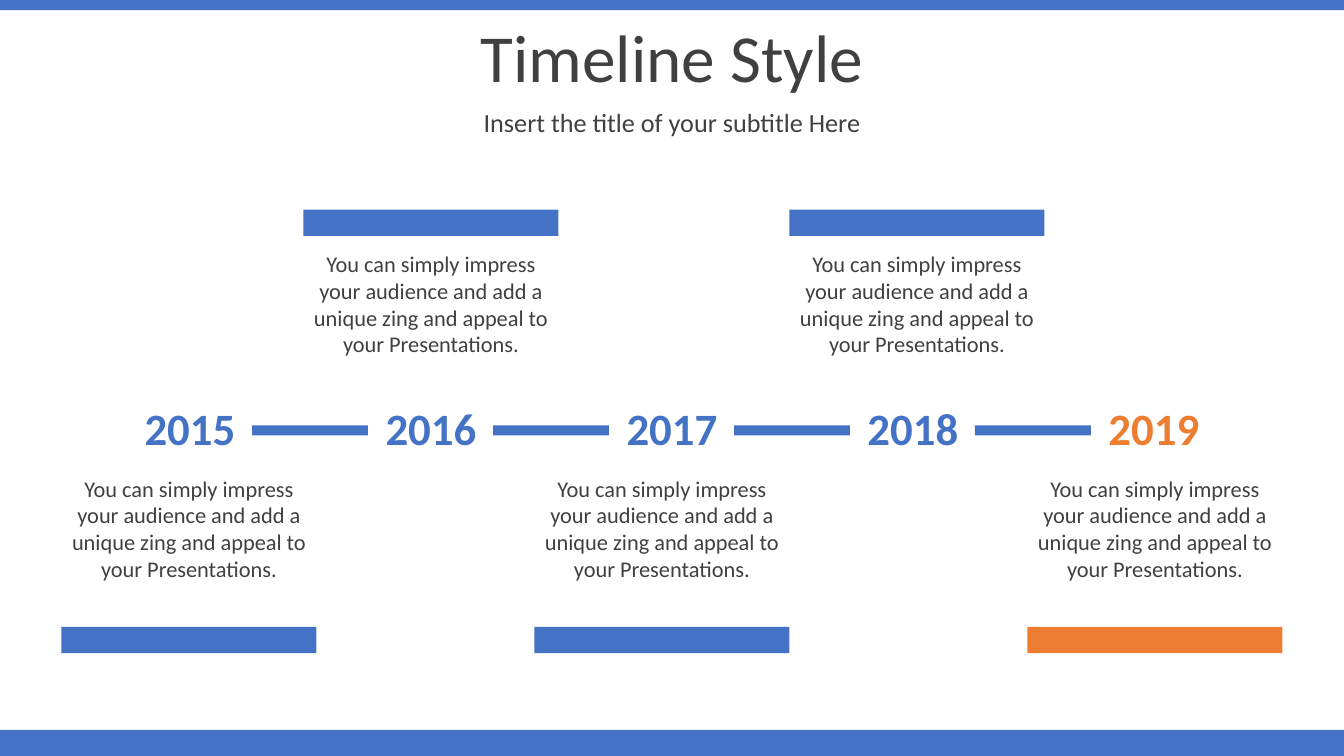
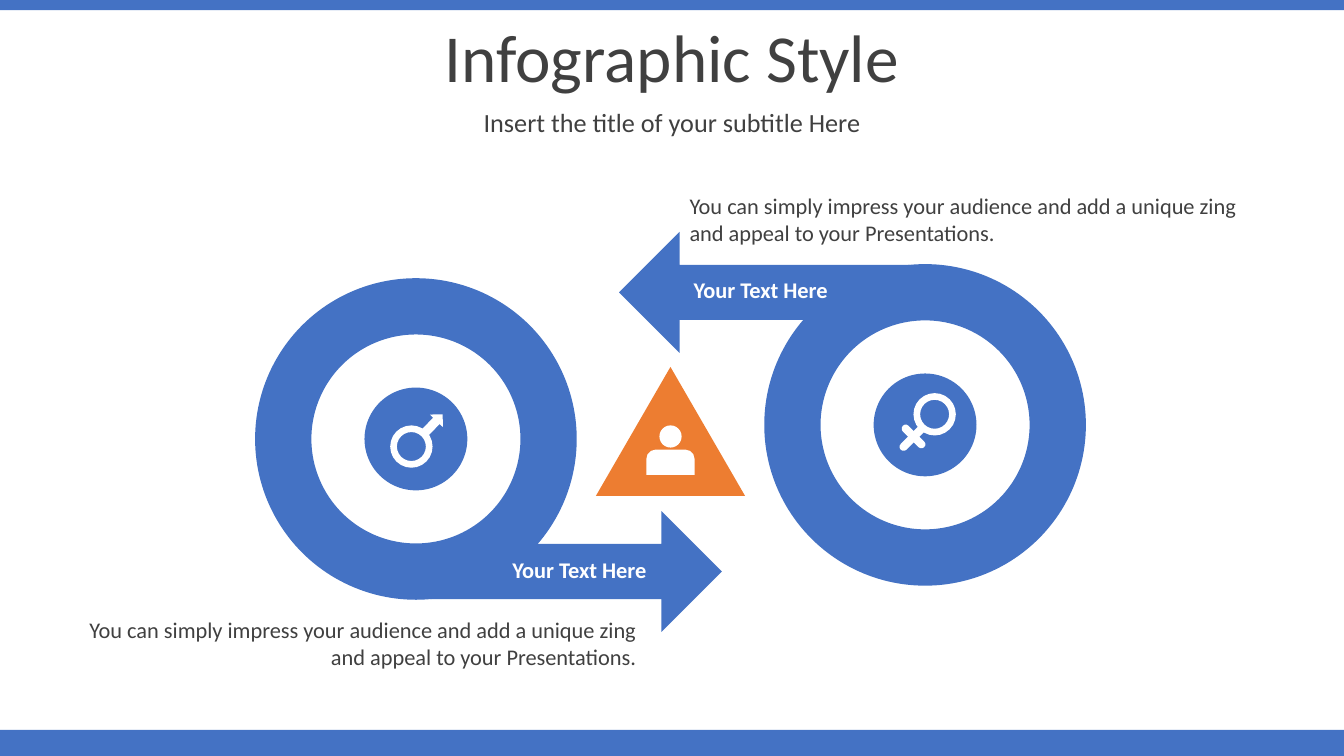
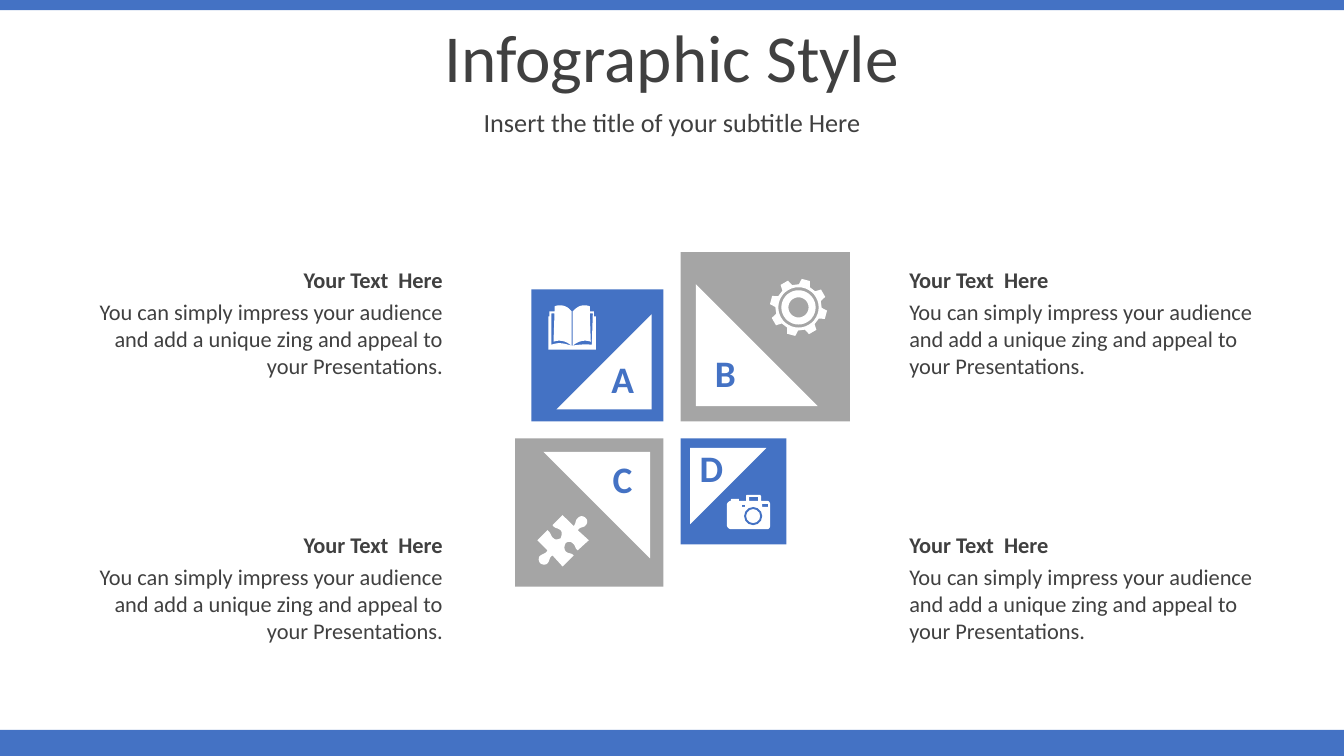
import math

from pptx import Presentation
from pptx.dml.color import RGBColor
from pptx.enum.shapes import MSO_SHAPE
from pptx.enum.text import MSO_ANCHOR, PP_ALIGN
from pptx.util import Inches, Pt

COLORS = {"blue": "4472C4", "orange": "ED7D31", "gray": "A5A5A5",
          "text": "404040", "white": "FFFFFF"}
FONT = "Calibri"
LEFT, CENTER, RIGHT = PP_ALIGN.LEFT, PP_ALIGN.CENTER, PP_ALIGN.RIGHT
TOP, MIDDLE = MSO_ANCHOR.TOP, MSO_ANCHOR.MIDDLE
RECT, ELLIPSE, DONUT = MSO_SHAPE.RECTANGLE, MSO_SHAPE.OVAL, MSO_SHAPE.DONUT
PILL, SHOULDERS = MSO_SHAPE.ROUNDED_RECTANGLE, MSO_SHAPE.ROUND_2_SAME_RECTANGLE
RIGHT_ARROW, UP_ARROW = MSO_SHAPE.RIGHT_ARROW, MSO_SHAPE.UP_ARROW
TRIANGLE, RIGHT_TRIANGLE = MSO_SHAPE.ISOSCELES_TRIANGLE, MSO_SHAPE.RIGHT_TRIANGLE

WIDTH, HEIGHT = 13.33, 7.5
SUBTITLE = "Insert the title of your subtitle Here"
BODY = ("You can simply impress your audience and add a unique zing "
        "and appeal to your Presentations.")

# Icon outlines in hundredths of an inch: pairs are corners, sextets are Bezier curves
BOOK = [[
    (23, 40), (24, 40), (24, 40, 32, 38, 43, 39), (44, 8), (41, 8), (42, 36),
    (36, 34, 30, 35, 24, 40), (24, 6), (28, 2, 31, 0, 35, 0),
    (37, 0, 39, 0, 41, 1), (41, 6), (45, 6), (45, 11), (47, 11), (47, 44),
    (0, 44), (0, 11), (1, 11), (1, 6), (6, 6), (6, 1), (8, 0, 10, 0, 12, 0),
    (16, 0, 20, 2, 23, 6), (23, 40), (17, 35, 11, 34, 5, 36), (6, 8), (3, 8),
    (3, 39), (11, 36, 16, 38, 23, 40),
]]
PUZZLE = [[
    (48, 3), (50, 5, 50, 8, 48, 10), (46, 13, 43, 11, 40, 15), (51, 25), (40, 35),
    (37, 33, 38, 30, 35, 28), (33, 26, 30, 26, 28, 28), (27, 30, 26, 33, 28, 36),
    (32, 39, 33, 37, 36, 40), (25, 51), (15, 40), (11, 43, 13, 44, 10, 48),
    (8, 50, 4, 49, 3, 48), (1, 46, 1, 43, 2, 41), (5, 38, 8, 39, 10, 35),
    (0, 25), (10, 15), (14, 18, 13, 21, 16, 23), (18, 25, 21, 24, 23, 23),
    (24, 21, 25, 17, 23, 15), (19, 12, 18, 14, 15, 10), (25, 0), (36, 11),
    (39, 7, 37, 6, 40, 3), (43, 0, 46, 1, 48, 3),
]]
CAMERA = [
    [(20, 0), (33, 0), (33, 0, 34, 1, 34, 2), (34, 6), (40, 6),
     (42, 6, 43, 8, 43, 10), (43, 30), (43, 32, 42, 34, 40, 34), (4, 34),
     (2, 34, 0, 32, 0, 30), (0, 10), (0, 8, 2, 6, 4, 6), (4, 5),
     (4, 4, 5, 4, 5, 4), (11, 4), (12, 4, 12, 4, 12, 5), (12, 6), (19, 6),
     (19, 2), (19, 1, 19, 0, 20, 0)],
    [(15, 10), (15, 12), (18, 12), (18, 10)],
    [(35, 9), (35, 12), (41, 12), (41, 9)],
    [(22, 2), (22, 6), (31, 6), (31, 2)],
]


def rgb(name):
    return RGBColor.from_string(COLORS[name])


def paint(shape, color):
    shape.shadow.inherit = False
    shape.fill.solid()
    shape.fill.fore_color.rgb = rgb(color)
    shape.line.fill.background()


def add_part(slide, kind, left, top, width, height, color, adjust=(), rotation=0):
    part = slide.shapes.add_shape(kind, Inches(left), Inches(top),
                                  Inches(width), Inches(height))
    paint(part, color)
    for index, value in enumerate(adjust):
        part.adjustments[index] = value
    part.rotation = rotation


def add_text(slide, text, left, top, width, height, size=16, color="text",
             bold=False, align=LEFT, anchor=TOP, spacing=1.0):
    frame = slide.shapes.add_textbox(Inches(left), Inches(top),
                                     Inches(width), Inches(height)).text_frame
    frame.word_wrap = True
    frame.vertical_anchor = anchor
    paragraph = frame.paragraphs[0]
    paragraph.text = text
    paragraph.alignment = align
    paragraph.line_spacing = spacing
    font = paragraph.font
    font.name, font.size, font.bold = FONT, Pt(size), bold
    font.color.rgb = rgb(color)


# Outlines
def flatten(contour, steps=8):
    points = [contour[0]]
    for node in contour[1:]:
        if len(node) == 2:
            points.append(node)
            continue
        curve = [points[-1], node[:2], node[2:4], node[4:]]
        for step in range(1, steps + 1):
            t = step / steps
            weights = ((1 - t) ** 3, 3 * t * (1 - t) ** 2, 3 * t * t * (1 - t), t ** 3)
            points.append(tuple(sum(w * p[axis] for w, p in zip(weights, curve))
                                for axis in (0, 1)))
    return points


def add_outline(slide, contours, left, top, color="white"):
    builder = None
    for contour in contours:
        points = [(Inches(left + x / 100), Inches(top + y / 100))
                  for x, y in flatten(contour)]
        if builder is None:
            builder = slide.shapes.build_freeform(*points[0], scale=1.0)
        else:
            builder.move_to(*points[0])
        builder.add_line_segments(points[1:], close=True)
    paint(builder.convert_to_shape(), color)


def polar(radius, degrees):
    angle = math.radians(degrees)
    return radius * math.cos(angle), radius * math.sin(angle)


def gear_contours():
    teeth = [polar(radius, 15 + 45 * tooth + turn) for tooth in range(8)
             for radius, turn in ((23, -14), (28.5, -8.5), (28.5, 8.5), (23, 14))]
    rings = [[polar(radius, turn) for turn in range(0, 360, 10)]
             for radius in (20, 17, 10)]
    return [teeth] + rings


# Shared frame: bands, title, subtitle
def new_slide(deck, title):
    slide = deck.slides.add_slide(deck.slide_layouts[6])
    add_part(slide, RECT, 0, HEIGHT - 0.26, WIDTH, 0.26, "blue")
    add_part(slide, RECT, 0, 0, WIDTH, 0.1, "blue")
    heading = {"align": CENTER, "anchor": MIDDLE, "spacing": 0.9}
    add_text(slide, title, 0, 0.18, WIDTH, 0.84, size=48, **heading)
    add_text(slide, SUBTITLE, 0, 1.02, WIDTH, 0.42, size=18.7, **heading)
    return slide


# Timeline
def add_milestone(slide, left, above, color):
    bar_top, note_top = (2.08, 2.43) if above else (6.22, 4.66)
    add_text(slide, BODY, left, note_top, 2.53, 1.18, align=CENTER)
    add_part(slide, RECT, left, bar_top, 2.53, 0.26, color)


def timeline_slide(deck):
    slide = new_slide(deck, "Timeline Style")
    note_lefts = (0.61, 3.01, 5.3, 7.83, 10.19)
    last = len(note_lefts) - 1
    for index, note_left in enumerate(note_lefts):
        color = "orange" if index == last else "blue"
        year_left = 1.21 + 2.39 * index
        add_text(slide, str(2015 + index), year_left, 3.93, 1.35, 0.64,
                 size=32, color=color, bold=True, align=CENTER)
        if index < last:
            add_part(slide, RECT, year_left + 1.29, 4.22, 1.15, 0.1, "blue")
        add_milestone(slide, note_left, index % 2 == 1, color)


# Rings with arrows
def add_ring(slide, left, top, flipped):
    size, arrow_width, arrow_height, disc = 3.19, 2.89, 1.2, 1.02
    dx, dy = 1.74, 2.31
    if flipped:
        dx, dy = size - dx - arrow_width, size - dy - arrow_height
    rotation = 180 if flipped else 0
    add_part(slide, DONUT, left, top, size, size, "blue", [0.175], rotation)
    add_part(slide, RIGHT_ARROW, left + dx, top + dy, arrow_width, arrow_height,
             "blue", [0.455, 0.5], rotation)
    inset = (size - disc) / 2
    add_part(slide, ELLIPSE, left + inset, top + inset, disc, disc, "blue")


def add_male_sign(slide, left, top):
    add_part(slide, DONUT, left, top + 0.15, 0.42, 0.42, "white", [0.158])
    add_part(slide, UP_ARROW, left + 0.33, top, 0.18, 0.29, "white", rotation=43.9)


def add_female_sign(slide, left, top):
    add_part(slide, DONUT, left + 0.05, top, 0.42, 0.42, "white", [0.158])
    add_part(slide, PILL, left, top + 0.28, 0.08, 0.33, "white", [0.5], 45)
    add_part(slide, PILL, left + 0.01, top + 0.28, 0.08, 0.3, "white", [0.5], 135)


def add_person(slide, left, top):
    add_part(slide, ELLIPSE, left + 0.13, top, 0.22, 0.22, "white")
    add_part(slide, SHOULDERS, left, top + 0.24, 0.48, 0.25, "white", [0.38, 0])


def rings_slide(deck):
    slide = new_slide(deck, "Infographic Style")
    add_ring(slide, 2.53, 2.76, False)
    add_ring(slide, 7.58, 2.62, True)
    add_part(slide, TRIANGLE, 5.91, 3.64, 1.48, 1.28, "orange")
    add_person(slide, 6.41, 4.22)
    add_male_sign(slide, 3.87, 4.07)
    add_female_sign(slide, 9.01, 3.9)
    add_text(slide, BODY, 6.74, 1.86, 5.88, 0.64)
    add_text(slide, BODY, 0.53, 6.06, 5.88, 0.64, align=RIGHT)
    for left, top, align in ((3.1, 5.47, RIGHT), (6.78, 2.69, LEFT)):
        add_text(slide, "Your Text Here", left, top, 3.41, 0.37,
                 color="white", bold=True, align=align)


# Four tiles around a centre
def add_tile(slide, letter, size, color, x_side, y_side, rotation, letter_offset):
    """Draw a tile outwards from the centre and return its left and top."""
    center_x, center_y, half_gap = 6.665, 4.265, 0.085
    inner_x, inner_y = center_x + x_side * half_gap, center_y + y_side * half_gap

    def box(inset, side):
        x, y = inner_x + x_side * inset, inner_y + y_side * inset
        return (x if x_side > 0 else x - side, y if y_side > 0 else y - side,
                side, side)

    tile = box(0, size)
    add_part(slide, RECT, *tile, color)
    add_part(slide, RIGHT_TRIANGLE, *box(0.09 * size, 0.72 * size), "white",
             rotation=rotation)
    dx, dy = letter_offset
    add_text(slide, letter, inner_x + x_side * dx - 0.29, inner_y + y_side * dy - 0.28,
             0.59, 0.55, size=26.7, color="blue", bold=True, align=CENTER)
    return tile[:2]


def add_caption(slide, left, top, align):
    add_text(slide, BODY, left, top + 0.32, 3.7, 0.91, align=align)
    add_text(slide, "Your Text  Here", left, top, 3.7, 0.37, bold=True, align=align)


def tiles_slide(deck):
    slide = new_slide(deck, "Infographic Style")
    tiles = (
        ("A", 1.31, "blue", -1, -1, 270, (0.41, 0.42), BOOK, (0.17, 0.16)),
        ("B", 1.68, "gray", 1, -1, 0, (0.44, 0.48), gear_contours(), (1.17, 0.55)),
        ("C", 1.47, "gray", -1, 1, 180, (0.41, 0.41), PUZZLE, (0.22, 0.76)),
        ("D", 1.05, "blue", 1, 1, 90, (0.3, 0.3), CAMERA, (0.46, 0.56)),
    )
    for *tile, icon, (dx, dy) in tiles:
        left, top = add_tile(slide, *tile)
        add_outline(slide, icon, left + dx, top + dy)
    # Lens of the camera in the last tile
    add_part(slide, DONUT, left + dx + 0.17, top + dy + 0.12, 0.18, 0.18,
             "blue", [0.11])
    for left, align in ((0.79, RIGHT), (8.92, LEFT)):
        for top in (2.59, 5.22):
            add_caption(slide, left, top, align)


def main():
    deck = Presentation()
    deck.slide_width, deck.slide_height = Inches(WIDTH), Inches(HEIGHT)
    timeline_slide(deck)
    rings_slide(deck)
    tiles_slide(deck)
    deck.save("out.pptx")


if __name__ == "__main__":
    main()
